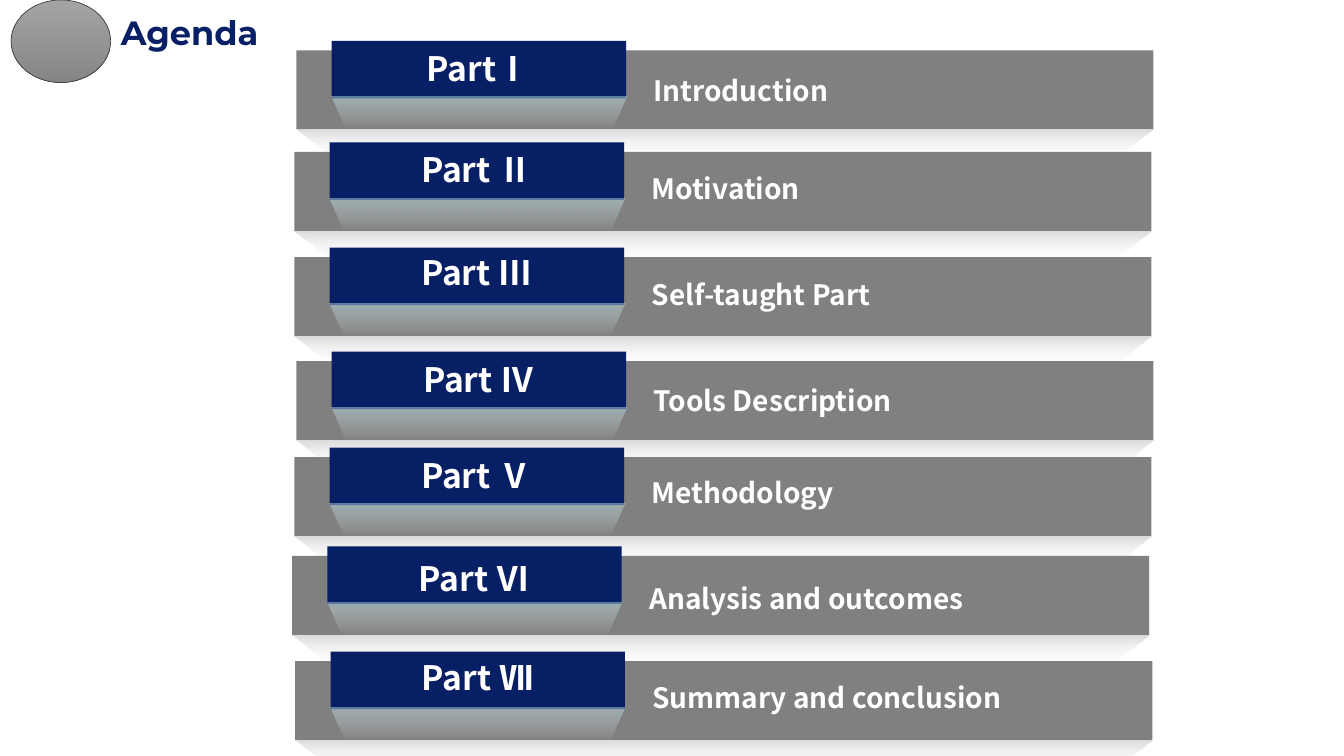
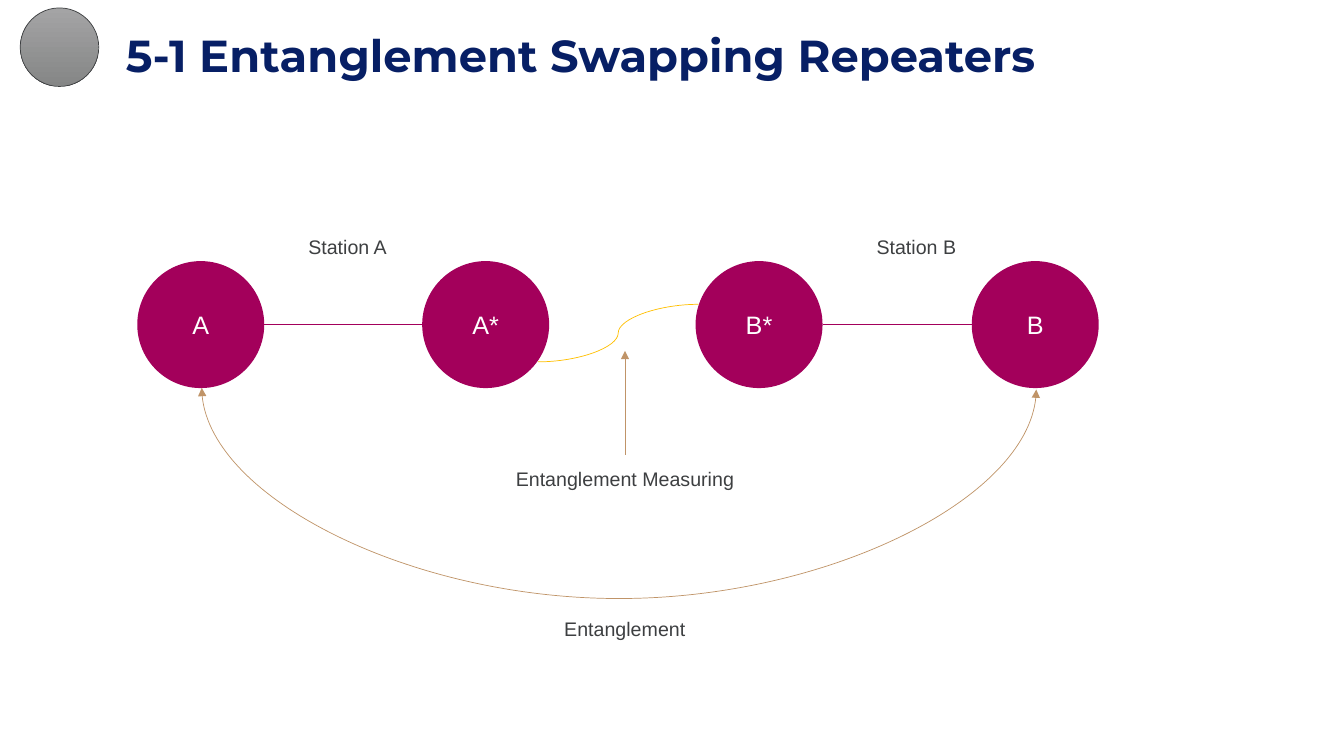
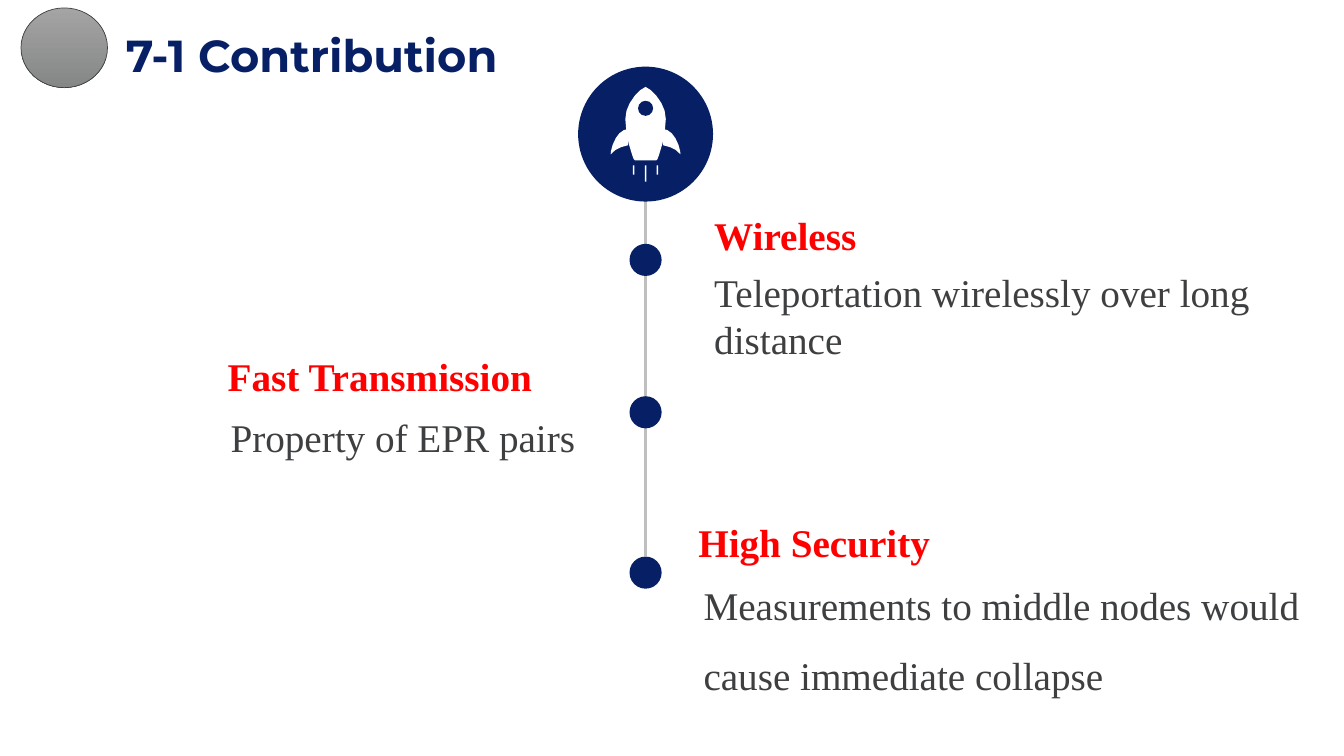
from lxml import etree
from pptx import Presentation
from pptx.dml.color import RGBColor
from pptx.enum.shapes import MSO_CONNECTOR, MSO_SHAPE
from pptx.enum.text import MSO_ANCHOR, PP_ALIGN
from pptx.oxml.ns import qn
from pptx.util import Cm, Pt

NAVY = RGBColor(0x07, 0x1F, 0x65)
GREY = RGBColor(0x80, 0x80, 0x80)
BADGE_TOP = RGBColor(0xA4, 0xA4, 0xA5)
BADGE_END = RGBColor(0x85, 0x86, 0x86)
INK = RGBColor(0x3D, 0x3F, 0x41)
WHITE = RGBColor(0xFF, 0xFF, 0xFF)
MIST = RGBColor(0xDD, 0xDD, 0xDD)
ICE = RGBColor(0xBB, 0xE0, 0xE3)
PLUM = RGBColor(0xA3, 0x00, 0x5B)
AMBER = RGBColor(0xFF, 0xC0, 0x00)
TAN = RGBColor(0xC0, 0x94, 0x68)
SILVER = RGBColor(0xBF, 0xBF, 0xBF)
RED = RGBColor(0xFF, 0x00, 0x00)

RECT, OVAL = MSO_SHAPE.RECTANGLE, MSO_SHAPE.OVAL
BADGE = MSO_SHAPE.FLOWCHART_CONNECTOR
STRAIGHT, CURVE = MSO_CONNECTOR.STRAIGHT, MSO_CONNECTOR.CURVE
LEFT, CENTER = PP_ALIGN.LEFT, PP_ALIGN.CENTER
TOP, MIDDLE, BOTTOM = MSO_ANCHOR.TOP, MSO_ANCHOR.MIDDLE, MSO_ANCHOR.BOTTOM

TITLE_FONT, AGENDA_FONT = "Montserrat", "Noto Sans CJK SC"
DIAGRAM_FONT, BODY_FONT = "Arial", "Times New Roman"


def write(sp, text, font, size, color, bold=False, align=LEFT, anchor=TOP, spacing=1.0):
    tf = sp.text_frame
    tf.word_wrap = True
    tf.vertical_anchor = anchor
    p = tf.paragraphs[0]
    p.alignment = align
    p.line_spacing = spacing
    r = p.add_run()
    r.text = text
    r.font.name = font
    r.font.size = Pt(size)
    r.font.bold = bold
    r.font.color.rgb = color


def paint(sp, color, end=None, alphas=(100, 100)):
    sp.shadow.inherit = False
    sp.line.fill.background()
    if end is None:
        sp.fill.solid()
        sp.fill.fore_color.rgb = color
        return
    sp.fill.gradient()
    sp.fill.gradient_angle = 270
    for stop, rgb in zip(sp.fill.gradient_stops, (color, end)):
        stop.color.rgb = rgb
    for node, alpha in zip(sp._element.spPr.iter(qn("a:srgbClr")), alphas):
        if alpha < 100:
            etree.SubElement(node, qn("a:alpha")).set("val", str(alpha * 1000))


prs = Presentation()
prs.slide_width, prs.slide_height = Cm(33.87), Cm(19.05)

slides = []
for title, size, title_box, badge_box in (
    ("Agenda", 24, (2.79, 0, 4.55, 1.45), (0.28, 0, 2.51, 2.08)),
    ("5-1 Entanglement Swapping Repeaters", 32, (2.92, 0.23, 30.7, 1.96), (0.51, 0.2, 1.98, 1.98)),
    ("7-1 Contribution", 32, (2.92, 0.23, 30.7, 1.96), (0.53, 0.2, 2.18, 2.01)),
):
    s = prs.slides.add_slide(prs.slide_layouts[5])
    sp = s.shapes.title
    sp.left, sp.top, sp.width, sp.height = map(Cm, title_box)
    write(sp, title, TITLE_FONT, size, NAVY, bold=True, anchor=BOTTOM, spacing=0.9)
    sp = s.shapes.add_shape(BADGE, *map(Cm, badge_box))
    paint(sp, BADGE_TOP, BADGE_END)
    sp.line.color.rgb = INK
    sp.line.width = Pt(0.5)
    slides.append(s)
agenda, repeaters, contribution = slides

BAR_W, BAR_H = 21.6, 2
TAB_W, TAB_H = 7.42, 1.45
FOLD_H = 0.8
for left, top, part, part_top, topic, topic_top in (
    (7.47, 1.27, "PartⅠ", 1.09, "Introduction", 1.73),
    (7.42, 3.83, "Part Ⅱ", 3.63, "Motivation", 4.19),
    (7.42, 6.48, "Part Ⅲ", 6.22, "Self-taught Part", 6.88),
    (7.47, 9.1, "Part Ⅳ", 8.92, "Tools Description", 9.55),
    (7.42, 11.52, "Part Ⅴ", 11.33, "Methodology", 11.86),
    (7.36, 14.01, "Part Ⅵ", 13.94, "Analysis and outcomes", 14.53),
    (7.44, 16.66, "Part Ⅶ", 16.43, "Summary and conclusion", 17.02),
):
    tab_left = left + 0.89
    for x, y, w, h, color in (
        (left, top, BAR_W, BAR_H, GREY),
        (tab_left, top - 0.24, TAB_W, TAB_H, NAVY),
    ):
        paint(agenda.shapes.add_shape(RECT, Cm(x), Cm(y), Cm(w), Cm(h)), color)
    for x, y, w, inset, color, alpha in (
        (left, top + BAR_H, BAR_W, 1.07, MIST, 100),
        (tab_left, top + 1.17, TAB_W, 0.37, ICE, 50),
    ):
        fold = agenda.shapes.build_freeform(Cm(x), Cm(y))
        fold.add_line_segments([
            (Cm(x + inset), Cm(y + FOLD_H)),
            (Cm(x + w - inset), Cm(y + FOLD_H)),
            (Cm(x + w), Cm(y)),
        ])
        paint(fold.convert_to_shape(), color, WHITE, (alpha, 0))
    for x, y, w, text, size, align in (
        (left + 2.19, part_top, 4.8, part, 24, CENTER),
        (left + 8.75, topic_top, 12.5, topic, 20, LEFT),
    ):
        sp = agenda.shapes.add_textbox(Cm(x), Cm(y), Cm(w), Cm(1.2))
        write(sp, text, AGENDA_FONT, size, WHITE, bold=True, align=align)

for s, kind, ends, color, width, heads in (
    (repeaters, STRAIGHT, (6.66, 8.18, 10.64, 8.18), PLUM, 0.5, ()),
    (repeaters, STRAIGHT, (20.73, 8.18, 24.49, 8.18), PLUM, 0.5, ()),
    (repeaters, CURVE, (13.56, 9.12, 17.6, 7.67), AMBER, 0.5, ()),
    (repeaters, STRAIGHT, (15.75, 11.46, 15.75, 8.84), TAN, 0.5, ("a:tailEnd",)),
    (repeaters, CURVE, (15.62, -0.72, 15.58, 20.31), TAN, 0.5, ("a:headEnd", "a:tailEnd")),
    (contribution, STRAIGHT, (16.27, 2.21, 16.27, 14.02), SILVER, 2.25, ()),
):
    link = s.shapes.add_connector(kind, *map(Cm, ends))
    link.line.color.rgb = color
    link.line.width = Pt(width)
    spPr = link._element.spPr
    for head in heads:
        etree.SubElement(spPr.find(qn("a:ln")), qn(head)).set("type", "triangle")
    etree.SubElement(spPr, qn("a:effectLst"))
    if len(heads) == 2:
        spPr.find(qn("a:xfrm")).set("rot", "16200000")
        bend = etree.SubElement(spPr.find(qn("a:prstGeom")).find(qn("a:avLst")), qn("a:gd"))
        bend.set("name", "adj1")
        bend.set("fmla", "val 13270000")

for left, node in ((3.46, "A"), (10.64, "A*"), (17.53, "B*"), (24.49, "B")):
    sp = repeaters.shapes.add_shape(OVAL, Cm(left), Cm(6.58), Cm(3.2), Cm(3.2))
    paint(sp, PLUM)
    write(sp, node, DIAGRAM_FONT, 18, WHITE, align=CENTER, anchor=MIDDLE)

for left, top, width, text in (
    (7.52, 5.61, 3, "Station A"),
    (21.84, 5.61, 3, "Station B"),
    (12.75, 11.46, 6.2, "Entanglement Measuring"),
    (13.97, 15.24, 4, "Entanglement"),
):
    sp = repeaters.shapes.add_textbox(Cm(left), Cm(top), Cm(width), Cm(0.97))
    write(sp, text, DIAGRAM_FONT, 14, INK, spacing=1.3)

AXIS = 16.27
for middle, diameter in ((3.38, 3.4), (6.55, 0.81), (10.39, 0.81), (14.43, 0.81)):
    sp = contribution.shapes.add_shape(
        OVAL, Cm(AXIS - diameter / 2), Cm(middle - diameter / 2), Cm(diameter), Cm(diameter))
    paint(sp, NAVY)

hull = [(0, 2.19), (0.13, 2.27), (0.27, 2.41), (0.4, 2.6), (0.48, 2.79), (0.51, 3),
        (0.49, 3.25), (0.43, 3.6), (0.34, 3.9), (0.3, 4.01), (0.27, 4.04)]
fin = [(0.44, 3.25), (0.55, 3.28), (0.66, 3.36), (0.75, 3.48), (0.83, 3.65),
       (0.87, 3.8), (0.88, 3.89), (0.76, 3.78), (0.62, 3.71), (0.44, 3.66)]
body = hull + [(-x, y) for x, y in reversed(hull[1:])]
for outline in (body, fin, [(-x, y) for x, y in fin]):
    points = [(Cm(AXIS + x), Cm(y)) for x, y in outline]
    rocket = contribution.shapes.build_freeform(*points[0])
    rocket.add_line_segments(points[1:])
    paint(rocket.convert_to_shape(), WHITE)
paint(contribution.shapes.add_shape(OVAL, Cm(AXIS - 0.19), Cm(2.54), Cm(0.38), Cm(0.38)), NAVY)
for offset, height in ((-0.3, 0.23), (0, 0.41), (0.3, 0.23)):
    flame = contribution.shapes.add_shape(
        RECT, Cm(AXIS + offset - 0.02), Cm(4.17), Cm(0.04), Cm(height))
    paint(flame, WHITE)

for left, top, width, text, color, bold, spacing in (
    (17.75, 5.21, 15.5, "Wireless", RED, True, 1),
    (17.75, 6.63, 16, "Teleportation wirelessly over long distance", INK, False, 1),
    (5.49, 8.76, 10, "Fast Transmission", RED, True, 1),
    (5.56, 9.7, 10, "Property of EPR pairs", INK, False, 1.5),
    (17.35, 12.93, 14.3, "High Security", RED, True, 1),
    (17.48, 13.92, 16.3, "Measurements to middle nodes would cause immediate collapse", INK, False, 1.5),
):
    sp = contribution.shapes.add_textbox(Cm(left), Cm(top), Cm(width), Cm(1.45))
    write(sp, text, BODY_FONT, 28, color, bold=bold, spacing=spacing)

prs.save("out.pptx")
